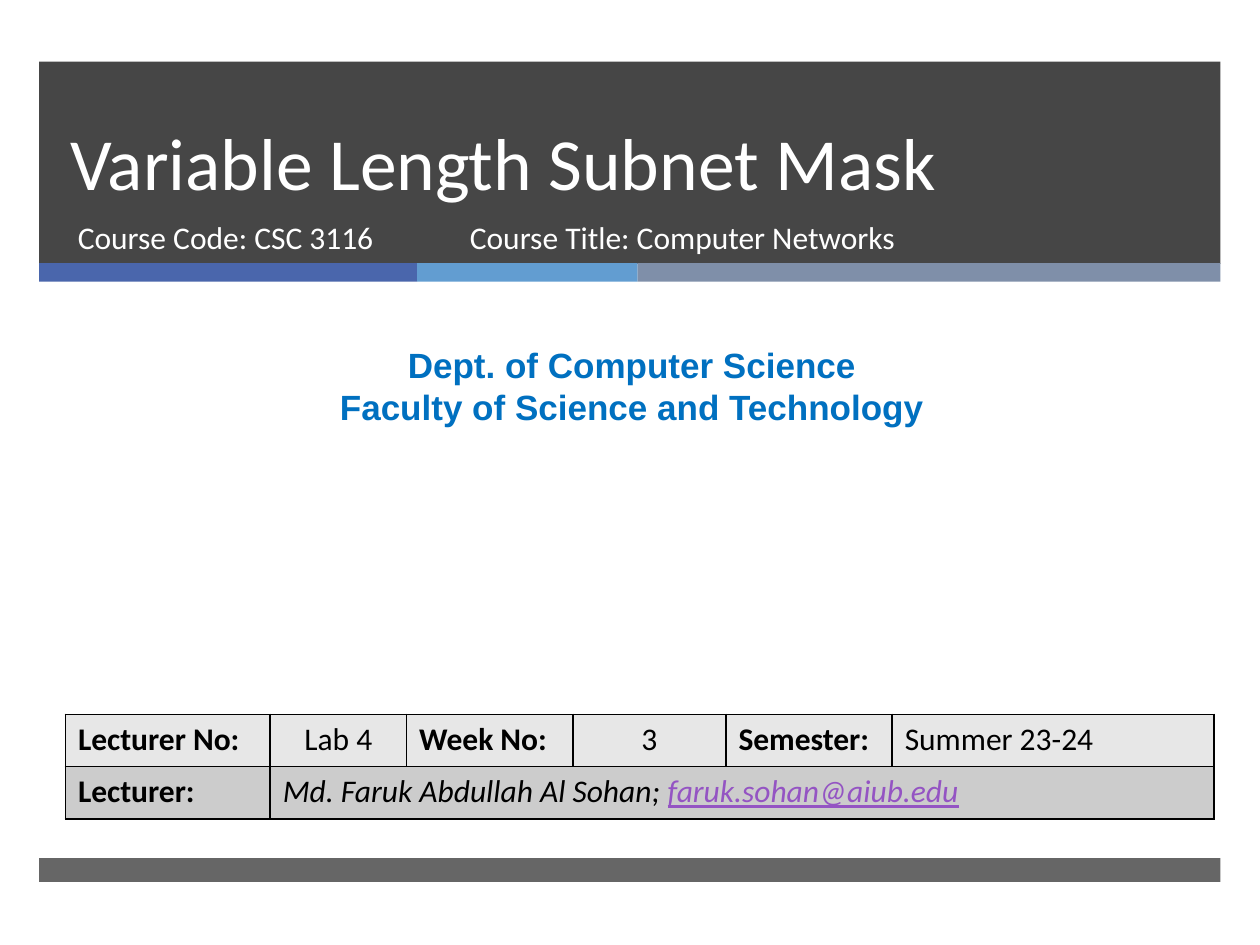
from dataclasses import dataclass

from lxml.etree import SubElement
from pptx import Presentation
from pptx.dml.color import RGBColor
from pptx.enum.shapes import MSO_SHAPE
from pptx.enum.text import MSO_ANCHOR, PP_ALIGN
from pptx.oxml.ns import qn
from pptx.util import Pt


@dataclass(frozen=True)
class Theme:
    body_font: str = "Calibri"
    department_font: str = "Arial"
    title_size: int = 42
    body_size: int = 18
    department_size: int = 20
    dark: str = "262626"
    white: str = "FFFFFF"
    black: str = "000000"
    department: str = "0070C0"
    email: str = "9454C3"
    stripes: tuple = ("4A66AC", "629DD1", "7F8FA9")
    table_rows: tuple = ("E7E7E7", "CCCCCC")


def color(value):
    return RGBColor.from_string(value)


def add_text(paragraph, text, *, font, size, ink, bold=False, italic=False, underline=False):
    run = paragraph.add_run()
    run.text = text
    run.font.name = font
    run.font.size = Pt(size)
    run.font.color.rgb = color(ink)
    run.font.bold = bold
    run.font.italic = italic
    run.font.underline = underline


class SlideBuilder:
    def __init__(self, slide, theme):
        self.slide = slide
        self.theme = theme

    def bar(self, left, top, width, height, fill, opacity=100):
        shape = self.slide.shapes.add_shape(
            MSO_SHAPE.RECTANGLE, Pt(left), Pt(top), Pt(width), Pt(height))
        shape.shadow.inherit = False
        shape.fill.solid()
        shape.fill.fore_color.rgb = color(fill)
        shape.line.fill.background()
        if opacity < 100:
            solid_color = shape.fill._xPr.find(qn("a:solidFill"))[0]
            SubElement(solid_color, qn("a:alpha"), val=str(opacity * 1000))

    def text_box(self, left, top, width, height, lines, *, anchor=MSO_ANCHOR.TOP,
                 align=PP_ALIGN.LEFT, line_spacing=None, **text_format):
        box = self.slide.shapes.add_textbox(Pt(left), Pt(top), Pt(width), Pt(height))
        frame = box.text_frame
        frame.word_wrap = True
        frame.vertical_anchor = anchor
        for index, line in enumerate(lines):
            paragraph = frame.add_paragraph() if index else frame.paragraphs[0]
            paragraph.alignment = align
            if line_spacing:
                paragraph.line_spacing = Pt(line_spacing)
            add_text(paragraph, line, **text_format)

    def table(self, left, top, column_widths, row_height, rows):
        """Each cell is a pair of alignment and a list of (text, format) runs.

        A row with fewer cells than columns has its last cell merged to the right edge.
        """
        theme = self.theme
        columns = len(column_widths)
        table = self.slide.shapes.add_table(
            len(rows), columns, Pt(left), Pt(top),
            Pt(sum(column_widths)), Pt(row_height * len(rows))).table
        for column, width in zip(table.columns, column_widths):
            column.width = Pt(width)
        for row_index, (cells, fill) in enumerate(zip(rows, theme.table_rows)):
            table.rows[row_index].height = Pt(row_height)
            for column_index in range(columns):
                self.style_cell(table.cell(row_index, column_index), fill)
            for column_index, (align, runs) in enumerate(cells):
                paragraph = table.cell(row_index, column_index).text_frame.paragraphs[0]
                paragraph.alignment = align
                for text, text_format in runs:
                    add_text(paragraph, text, **{
                        "font": theme.body_font, "size": theme.body_size,
                        "ink": theme.black, **text_format})
            if len(cells) < columns:
                table.cell(row_index, len(cells) - 1).merge(
                    table.cell(row_index, columns - 1))

    def style_cell(self, cell, fill):
        properties = cell._tc.get_or_add_tcPr()
        for side in ("a:lnL", "a:lnR", "a:lnT", "a:lnB"):
            border = SubElement(properties, qn(side), w=str(Pt(1)))
            line_fill = SubElement(border, qn("a:solidFill"))
            SubElement(line_fill, qn("a:srgbClr"), val=self.theme.black)
        cell.fill.solid()
        cell.fill.fore_color.rgb = color(fill)


def label(text):
    return PP_ALIGN.LEFT, [(text, {"bold": True})]


def value(text, align=PP_ALIGN.CENTER):
    return align, [(text, {})]


def main():
    presentation = Presentation()
    presentation.slide_width = Pt(720)
    presentation.slide_height = Pt(540)
    theme = Theme()
    builder = SlideBuilder(
        presentation.slides.add_slide(presentation.slide_layouts[6]), theme)

    band_left, band_width = 22.4, 675
    builder.bar(band_left, 35.2, band_width, 115.6, theme.dark, opacity=85)
    stripe_left = band_left
    for width, fill in zip((216, 126, 333), theme.stripes):
        builder.bar(stripe_left, 150.4, width, 10.6, fill)
        stripe_left += width
    builder.bar(band_left, 490.3, band_width, 13.7, theme.dark, opacity=70)

    builder.text_box(33.1, 35.2, 615, 85.7, ["Variable Length Subnet Mask"],
                     anchor=MSO_ANCHOR.BOTTOM, line_spacing=46,
                     font=theme.body_font, size=theme.title_size, ink=theme.white)
    for left, width, text in ((37.4, 219.6, "Course Code: CSC 3116"),
                              (261.4, 327.6, "Course Title: Computer Networks")):
        builder.text_box(left, 121, width, 38.2, [text], font=theme.body_font,
                         size=theme.body_size, ink=theme.white)
    builder.text_box(5.8, 193, 710.6, 55.4,
                     ["Dept. of Computer Science", "Faculty of Science and Technology"],
                     align=PP_ALIGN.CENTER, font=theme.department_font,
                     size=theme.department_size, ink=theme.department, bold=True)

    lecturer = PP_ALIGN.LEFT, [
        ("Md. Faruk Abdullah Al Sohan; ", {"italic": True}),
        ("faruk.sohan@aiub.edu", {"italic": True, "underline": True, "ink": theme.email}),
    ]
    builder.table(37.4, 408.2, (117, 78, 95, 87.5, 95, 184), 29.9, [
        [label("Lecturer No:"), value("Lab 4"), label("Week No:"), value("3"),
         label("Semester:"), value("Summer 23-24", PP_ALIGN.LEFT)],
        [label("Lecturer:"), lecturer],
    ])
    presentation.save("out.pptx")


if __name__ == "__main__":
    main()
